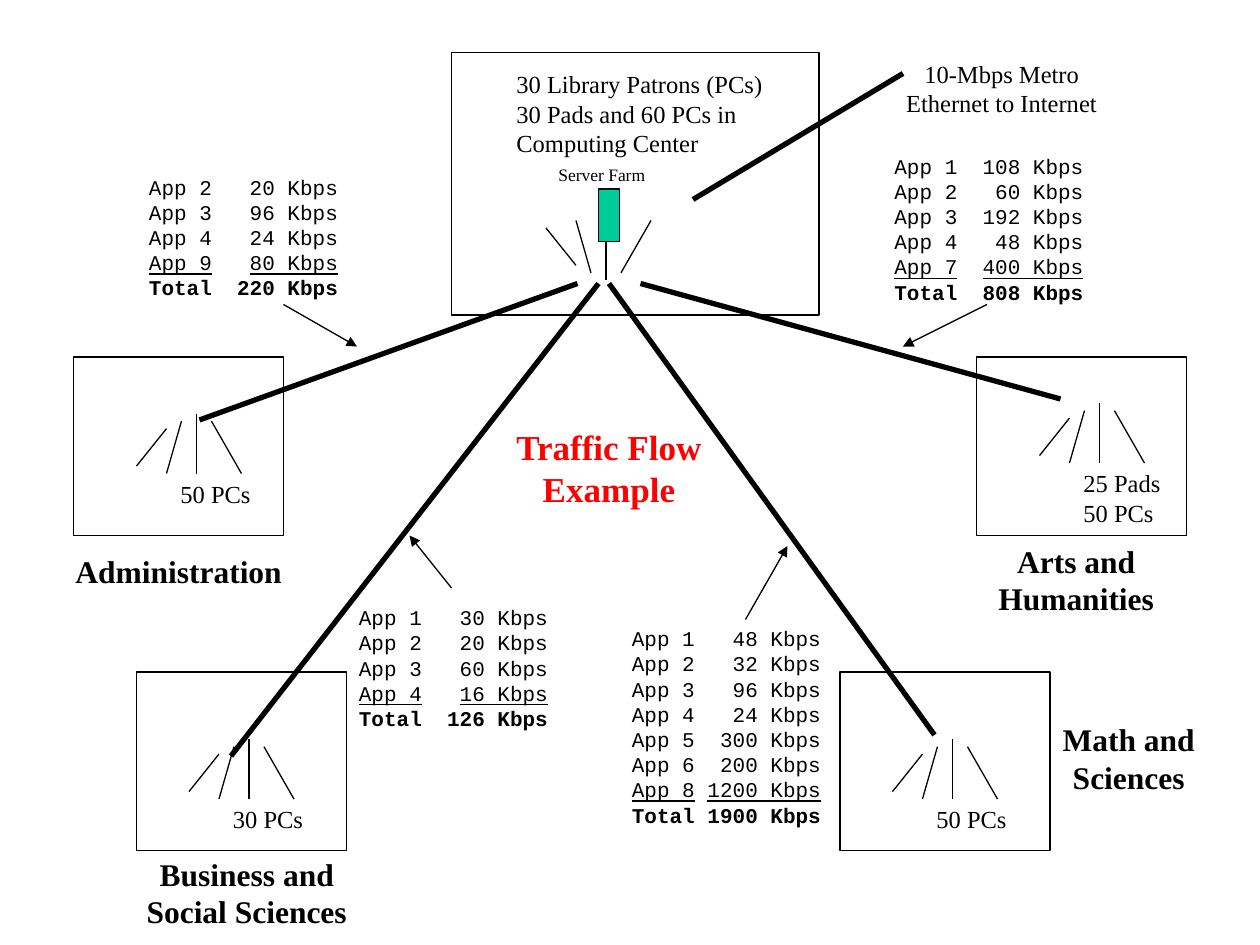
from lxml import etree
from pptx import Presentation, util as u
from pptx.dml.color import RGBColor
from pptx.enum import shapes, text
from pptx.oxml.ns import qn

COLS, ROWS = 120, 90
CELL = u.Inches(10) / COLS
SERIF, MONO = "Times New Roman", "Courier New"
FAN = [((2, 2), (0, 7)), ((3, 1), (2, 8)), ((4, 0), (4, 8)), ((5, 1), (7, 8))]
FAN_W, FAN_H = 10, 5.7
BLACK, RED, GREEN = "000000", "FF0000", "00CC99"

BUILDINGS = [
    {"box": (7, 34, 20, 17), "fan": (6, 5.4), "pcs": ["50 PCs"], "name": "Administration",
     "name_box": (-1, 18, 27, 4.8), "centred": False},
    {"box": (93, 34, 20, 17), "fan": (6, 4.4), "pcs": ["25 Pads", "50 PCs"],
     "name": "Arts and Humanities", "name_box": (-2, 17, 23, 8.4)},
    {"box": (80, 64, 20, 17), "fan": (5, 6.4), "pcs": ["50 PCs"],
     "name": "Math and Sciences", "name_box": (18, 4, 19, 8.4)},
    {"box": (13, 64, 20, 17), "fan": (5, 6.4), "pcs": ["30 PCs"],
     "name": "Business and Social Sciences", "name_box": (-3, 16.8, 27, 8.4)},
]
TRAFFIC = [
    {"at": (13, 16), "loads": {2: 20, 3: 96, 4: 24, 9: 80}, "arrow": ((27, 29), (34, 33))},
    {"at": (84, 14), "loads": {1: 108, 2: 60, 3: 192, 4: 48, 7: 400},
     "arrow": ((94, 29), (86, 33))},
    {"at": (59, 59), "loads": {1: 48, 2: 32, 3: 96, 4: 24, 5: 300, 6: 200, 8: 1200},
     "arrow": ((71, 59), (75, 52))},
    {"at": (33, 57), "loads": {1: 30, 2: 20, 3: 60, 4: 16}, "arrow": ((43, 56), (39, 51))},
]
TRUNKS = [((58, 27), (89, 70)), ((57, 27), (22, 72)), ((61, 27), (101, 38)),
          ((55, 27), (19, 40)), ((66, 19), (86, 7))]


def color(value):
    """Turn a hex string into a colour."""
    return RGBColor.from_string(value)


def emu(*cells):
    """Convert grid lengths to slide units."""
    return [u.Emu(round(c * CELL)) for c in cells]


def style(font, **values):
    """Set the font's colour and every other given attribute."""
    font.color.rgb = color(values.pop("color", BLACK))
    for key, value in {"name": SERIF, **values}.items():
        setattr(font, key, value)


def add_text(s, box, lines, size, centred=False, middle=False, **values):
    """Write lines in a wrapped text box and return its paragraphs."""
    tf = s.shapes.add_textbox(*emu(*box)).text_frame
    tf.word_wrap = True
    if middle:
        tf.vertical_anchor = text.MSO_ANCHOR.MIDDLE
    tf.text = "\n".join(lines)
    for p in tf.paragraphs:
        if centred:
            p.alignment = text.PP_ALIGN.CENTER
        for r in p.runs:
            style(r.font, size=u.Pt(size), **values)
    return tf.paragraphs


def add_line(s, start, end, width=0.75, arrow=False):
    """Join two grid points with a line, optionally ending in an arrowhead."""
    c = s.shapes.add_connector(shapes.MSO_CONNECTOR.STRAIGHT, *emu(*start, *end))
    c.line.color.rgb = color(BLACK)
    c.line.width = u.Pt(width)
    if arrow:
        etree.SubElement(c.line._get_or_add_ln(), qn("a:tailEnd"), type="triangle")
    etree.SubElement(c._element.spPr, qn("a:effectLst"))


def add_rect(s, box, fill=None):
    """Draw a thin outlined rectangle, hollow unless a fill is given."""
    sp = s.shapes.add_shape(shapes.MSO_SHAPE.RECTANGLE, *emu(*box))
    sp.shadow.inherit = False
    sp.line.color.rgb = color(BLACK)
    sp.line.width = u.Pt(0.75)
    if fill:
        sp.fill.solid()
        sp.fill.fore_color.rgb = color(fill)
    else:
        sp.fill.background()


def add_fan(s, x, y, flip=False):
    """Spread four cables over a fan box, opening upwards when flipped."""
    for ends in FAN:
        add_line(s, *[(x + FAN_W * a / 7, y + FAN_H * (8 - b if flip else b) / 8)
                      for a, b in ends])


def add_building(s, box, fan, pcs, name, name_box, centred=True):
    """Draw a building with its cables, computers and name."""
    x, y = box[:2]
    fan_x, fan_y = x + fan[0], y + fan[1]
    add_rect(s, box)
    add_fan(s, fan_x, fan_y)
    add_text(s, (fan_x + 3, fan_y + 5.6, 12, 3.4 * len(pcs)), pcs, 14)
    dx, dy, w, h = name_box
    add_text(s, (x + dx, y + dy, w, h), [name], 18, centred, bold=True)


def add_library(s, box):
    """Draw the central library with its server farm."""
    x, y = box[:2]
    add_text(s, (x + 5, y + 1, 29, 9.6),
             ["30 Library Patrons (PCs)", "30 Pads and 60 PCs in Computing Center"], 14)
    add_rect(s, box)
    add_fan(s, x + 9, y + 16, flip=True)
    add_rect(s, (x + 14, y + 13, 2, 5), GREEN)
    add_text(s, (x + 9, y + 10, 15, 3.2), ["Server Farm"], 10)


def add_traffic(s, at, loads, arrow):
    """List the load of each application with a total, and point to its trunk."""
    lines = [f"App {app}\t{load} Kbps" for app, load in loads.items()]
    lines.append(f"Total\t{sum(loads.values())} Kbps")
    paragraphs = add_text(s, (*at, 22, 2.4 * len(lines) + 1.2), lines, 12, name=MONO)
    for p in paragraphs:
        tabs = etree.SubElement(p._p.get_or_add_pPr(), qn("a:tabLst"))
        etree.SubElement(tabs, qn("a:tab"), pos=str(u.Inches(1.5)), algn="r")
    for r in paragraphs[-2].runs:
        r.font.underline = True
    for r in paragraphs[-1].runs:
        r.font.bold = True
    add_line(s, *arrow, arrow=True)


def main():
    """Build the traffic flow slide."""
    prs = Presentation()
    prs.slide_width, prs.slide_height = emu(COLS, ROWS)
    s = prs.slides.add_slide(prs.slide_layouts[6])
    add_text(s, (42.5, 37, 31, 15), ["Traffic Flow Example"], 20, True, True,
             color=RED, bold=True)
    for start, end in TRUNKS:
        add_line(s, start, end, 3)
    for building in BUILDINGS:
        add_building(s, **building)
    add_library(s, (43, 5, 35, 25))
    for traffic in TRAFFIC:
        add_traffic(s, **traffic)
    add_text(s, (83, 5, 24.8, 6.8), ["10-Mbps Metro Ethernet to Internet"], 14, True)
    prs.save("out.pptx")


if __name__ == "__main__":
    main()
